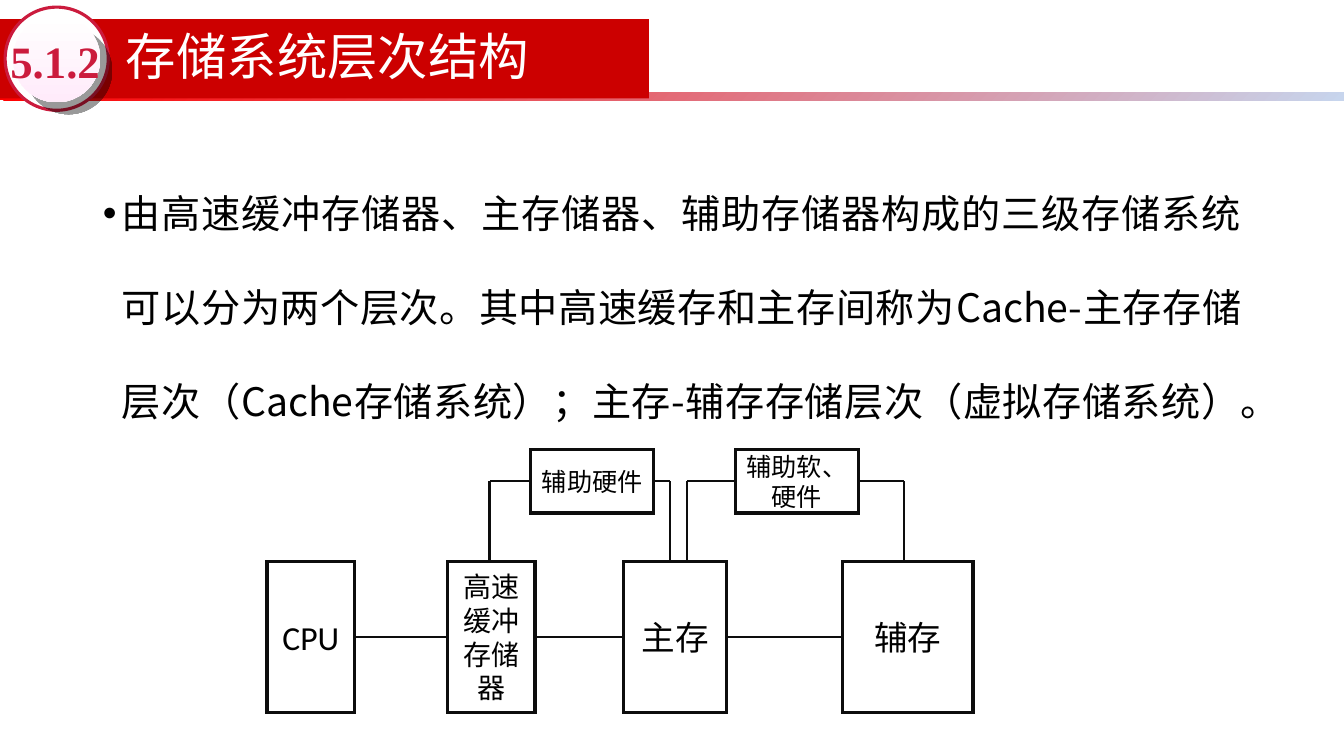
import pptx
import pptx.dml.color
import pptx.enum.shapes
import pptx.enum.text
import pptx.oxml
import pptx.oxml.ns
import pptx.util
from pptx.util import Cm

RGBColor = pptx.dml.color.RGBColor
SHAPE = pptx.enum.shapes.MSO_SHAPE
ALIGN = pptx.enum.text.PP_ALIGN
ANCHOR = pptx.enum.text.MSO_ANCHOR

BLACK = RGBColor(0x00, 0x00, 0x00)
WHITE = RGBColor(0xFF, 0xFF, 0xFF)
INK = RGBColor(0x0D, 0x0D, 0x0D)
BANNER_RED = RGBColor(0xCC, 0x00, 0x00)
BRIGHT_RED = RGBColor(0xFF, 0x00, 0x00)
PALE_BLUE = RGBColor(0xC7, 0xD5, 0xED)
BADGE_RED = RGBColor(0xCB, 0x1B, 0x3D)
PALE_PINK = RGBColor(0xFF, 0xEB, 0xFA)

CJK_FONT = "Noto Sans CJK SC"
BADGE_SHADOW = (
    f'<a:effectLst {pptx.oxml.ns.nsdecls("a")}>'
    '<a:outerShdw dist="153670" dir="2700000" algn="ctr" rotWithShape="0">'
    '<a:srgbClr val="000000"><a:alpha val="40000"/></a:srgbClr>'
    '</a:outerShdw></a:effectLst>'
)


def place(shape, left, top, width, height):
    shape.left, shape.top, shape.width, shape.height = left, top, width, height


def set_text(shape, text, size, font_name, color, align, bold=False):
    """Write one paragraph, middle anchored, with Latin and East Asian fonts."""
    frame = shape.text_frame
    frame.text = text
    frame.word_wrap = True
    frame.auto_size = pptx.enum.text.MSO_AUTO_SIZE.NONE
    frame.vertical_anchor = ANCHOR.MIDDLE
    paragraph = frame.paragraphs[0]
    paragraph.alignment = align
    font = paragraph.runs[0].font
    font.size = pptx.util.Pt(size)
    font.bold = bold
    font.color.rgb = color
    font.name = font_name
    east_asian = pptx.oxml.parse_xml(
        f'<a:ea {pptx.oxml.ns.nsdecls("a")} typeface="{CJK_FONT}"/>')
    paragraph.runs[0]._r.get_or_add_rPr().find(
        pptx.oxml.ns.qn("a:latin")).addnext(east_asian)
    return paragraph


def add_filled(slide, kind, box, colors, angle=0):
    """Add a borderless shape with one solid colour or a two-colour gradient."""
    shape = slide.shapes.add_shape(kind, *box)
    shape.shadow.inherit = False
    shape.line.fill.background()
    if len(colors) == 1:
        shape.fill.solid()
        shape.fill.fore_color.rgb = colors[0]
    else:
        shape.fill.gradient()
        shape.fill.gradient_angle = angle
        for stop, color in zip(shape.fill.gradient_stops, colors):
            stop.color.rgb = color
    return shape


def add_line(slide, start, end):
    line = slide.shapes.add_connector(
        pptx.enum.shapes.MSO_CONNECTOR.STRAIGHT, *start, *end)
    line.line.color.rgb = INK
    line.line.width = pptx.util.Pt(1.5)
    line._element.spPr.append(
        pptx.oxml.parse_xml(f'<a:effectLst {pptx.oxml.ns.nsdecls("a")}/>'))


def add_badge(slide, left, top, size, number):
    ring = add_filled(slide, SHAPE.OVAL, (left, top, size, size), [WHITE])
    ring.line.color.rgb = BADGE_RED
    ring.line.width = pptx.util.Pt(2.25)
    inset = Cm(0.2)
    disc_size = size - 2 * inset
    disc = add_filled(slide, SHAPE.OVAL,
                      (left + inset, top + inset, disc_size, disc_size),
                      [WHITE, PALE_PINK], 270)
    properties = disc._element.spPr
    properties.replace(properties.find(pptx.oxml.ns.qn("a:effectLst")),
                       pptx.oxml.parse_xml(BADGE_SHADOW))
    label = slide.shapes.add_textbox(left + Cm(0.13), top + Cm(0.66), Cm(2.36), Cm(1.37))
    frame = label.text_frame
    frame.margin_left = frame.margin_right = frame.margin_top = frame.margin_bottom = 0
    set_text(label, number, 32, "Times New Roman", BADGE_RED, ALIGN.LEFT, bold=True)


def add_header(slide, width, number, title):
    add_filled(slide, SHAPE.RECTANGLE, (0, Cm(2.33), width, Cm(0.2)),
               [BRIGHT_RED, PALE_BLUE], 315)
    banner = add_filled(slide, SHAPE.RECTANGLE, (0, Cm(0.48), Cm(16.36), Cm(2)),
                        [BANNER_RED])
    heading = slide.shapes.title
    place(heading, Cm(2.92), Cm(0.46), Cm(18.9), Cm(2.08))
    paragraph = set_text(heading, title, 36, CJK_FONT, WHITE, ALIGN.LEFT)
    paragraph.line_spacing = 0.9
    # The title placeholder exists before the banner, so bring it in front.
    banner._element.addnext(heading._element)
    add_badge(slide, Cm(0.13), Cm(0.18), Cm(2.6), number)


def add_body(slide, left, top, width, height, text):
    body = slide.placeholders[1]
    place(body, left, top, width, height)
    paragraph = set_text(body, text, 28, CJK_FONT, BLACK, ALIGN.JUSTIFY)
    body.text_frame.vertical_anchor = ANCHOR.TOP
    paragraph.line_spacing = 2.0
    paragraph.space_before = pptx.util.Pt(0)
    properties = paragraph._p.get_or_add_pPr()
    properties.set("marL", str(Cm(0.48)))
    properties.set("indent", str(-Cm(0.48)))


def add_unit(slide, left, top, width, height, text, size):
    unit = slide.shapes.add_shape(SHAPE.RECTANGLE, left, top, width, height)
    unit.shadow.inherit = False
    unit.fill.background()
    unit.line.color.rgb = INK
    unit.line.width = pptx.util.Pt(2.25)
    unit._element.spPr.find(pptx.oxml.ns.qn("a:ln")).append(
        pptx.oxml.parse_xml(f'<a:miter {pptx.oxml.ns.nsdecls("a")} lim="800000"/>'))
    set_text(unit, text, size, "Calibri", BLACK, ALIGN.CENTER)
    return unit


def add_hierarchy(slide, left, top):
    """Draw the chain of units and the helpers bridging them, from a top-left corner."""
    unit_top, unit_height = top + Cm(2.82), Cm(3.81)
    units = [
        add_unit(slide, left + Cm(offset), unit_top, Cm(width), unit_height, text, size)
        for text, offset, width, size in (
            ("CPU", 0, 2.21, 24), ("高速缓冲存储器", 4.55, 2.21, 20),
            ("主存", 8.99, 2.6, 24), ("辅存", 14.5, 3.3, 24))
    ]
    middle = unit_top + unit_height // 2
    for unit, following in zip(units, units[1:]):
        add_line(slide, (unit.left + unit.width, middle), (following.left, middle))

    helper_width, helper_height = Cm(3.1), Cm(1.6)
    bridge = top + helper_height // 2
    for text, offset, left_drop, right_drop in (
            ("辅助硬件", 6.65, 5.61, 10.16), ("辅助软、硬件", 11.81, 10.59, 16.05)):
        helper = add_unit(slide, left + Cm(offset), top, helper_width, helper_height, text, 18)
        for drop, edge in ((left_drop, helper.left),
                           (right_drop, helper.left + helper_width)):
            corner = (left + Cm(drop), bridge)
            add_line(slide, (edge, bridge), corner)
            add_line(slide, corner, (corner[0], unit_top))


def main():
    presentation = pptx.Presentation()
    presentation.slide_width = Cm(33.88)
    presentation.slide_height = Cm(19.05)
    slide = presentation.slides.add_slide(presentation.slide_layouts[1])
    add_header(slide, presentation.slide_width, "5.1.2", "存储系统层次结构")
    add_body(slide, Cm(2.34), Cm(3.45), Cm(29.21), Cm(13.82),
             "由高速缓冲存储器、主存储器、辅助存储器构成的三级存储系统可以分为两个层次。"
             "其中高速缓存和主存间称为Cache-主存存储层次（Cache存储系统）；"
             "主存-辅存存储层次（虚拟存储系统）。")
    add_hierarchy(slide, Cm(6.73), Cm(11.33))
    presentation.save("out.pptx")


if __name__ == "__main__":
    main()
